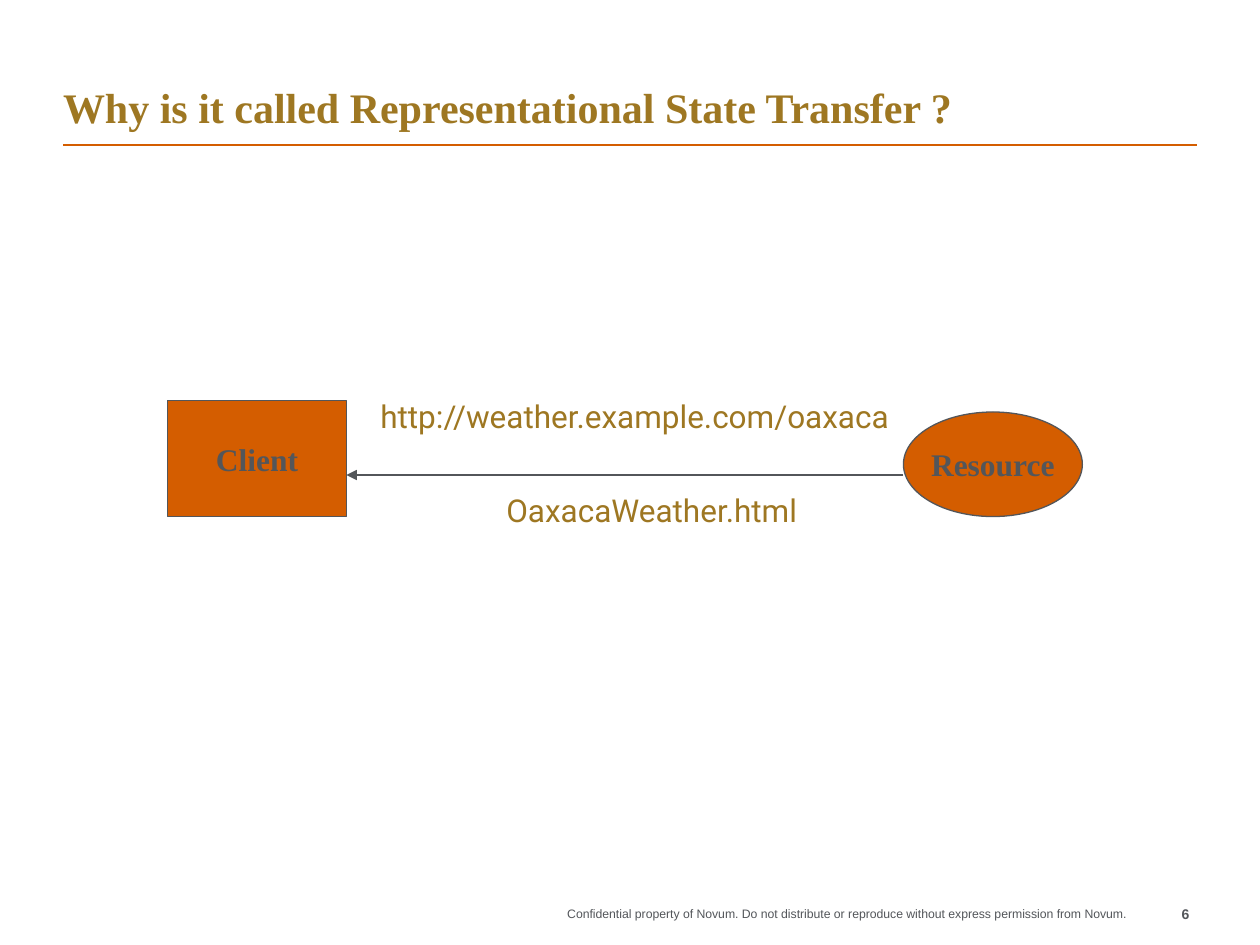
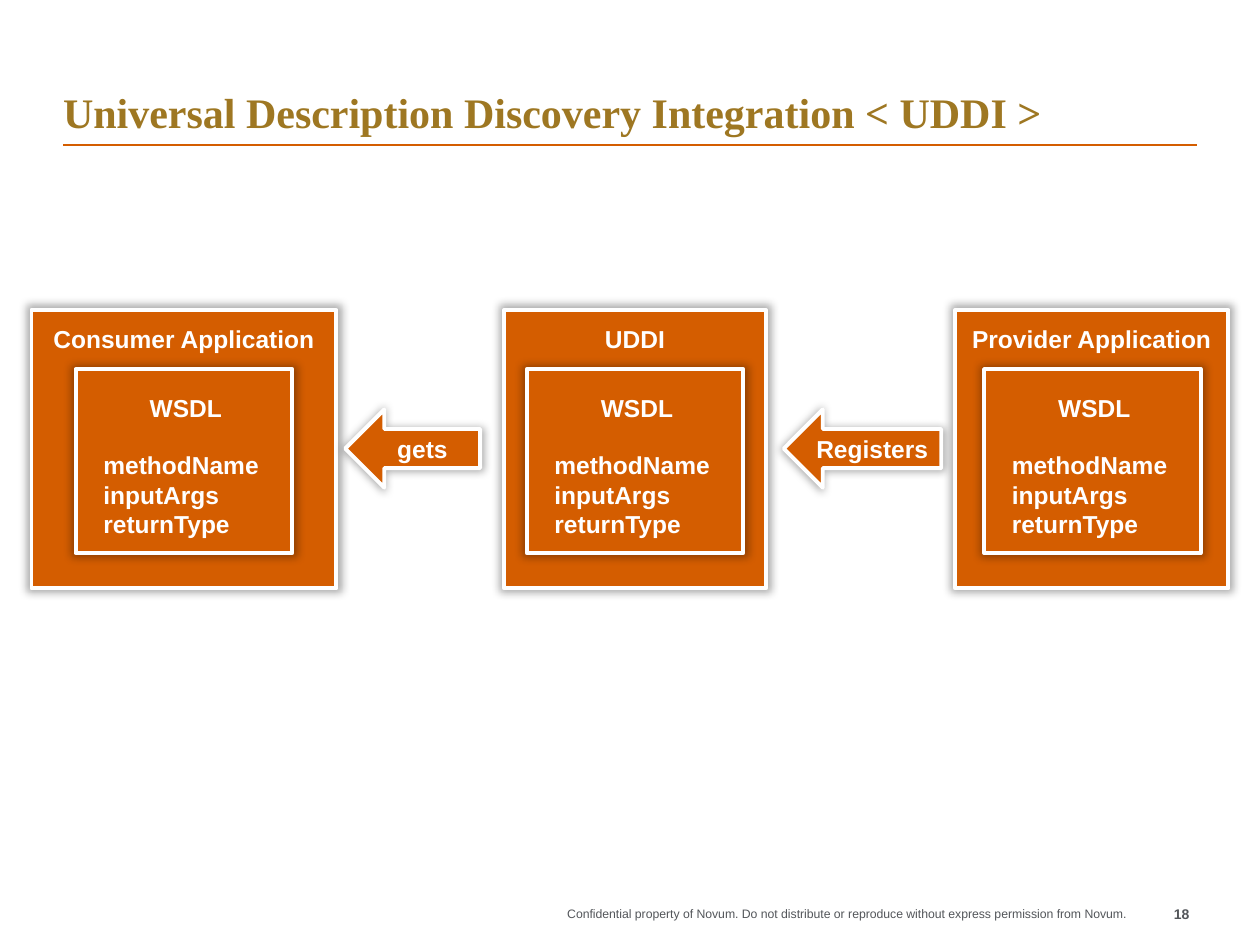
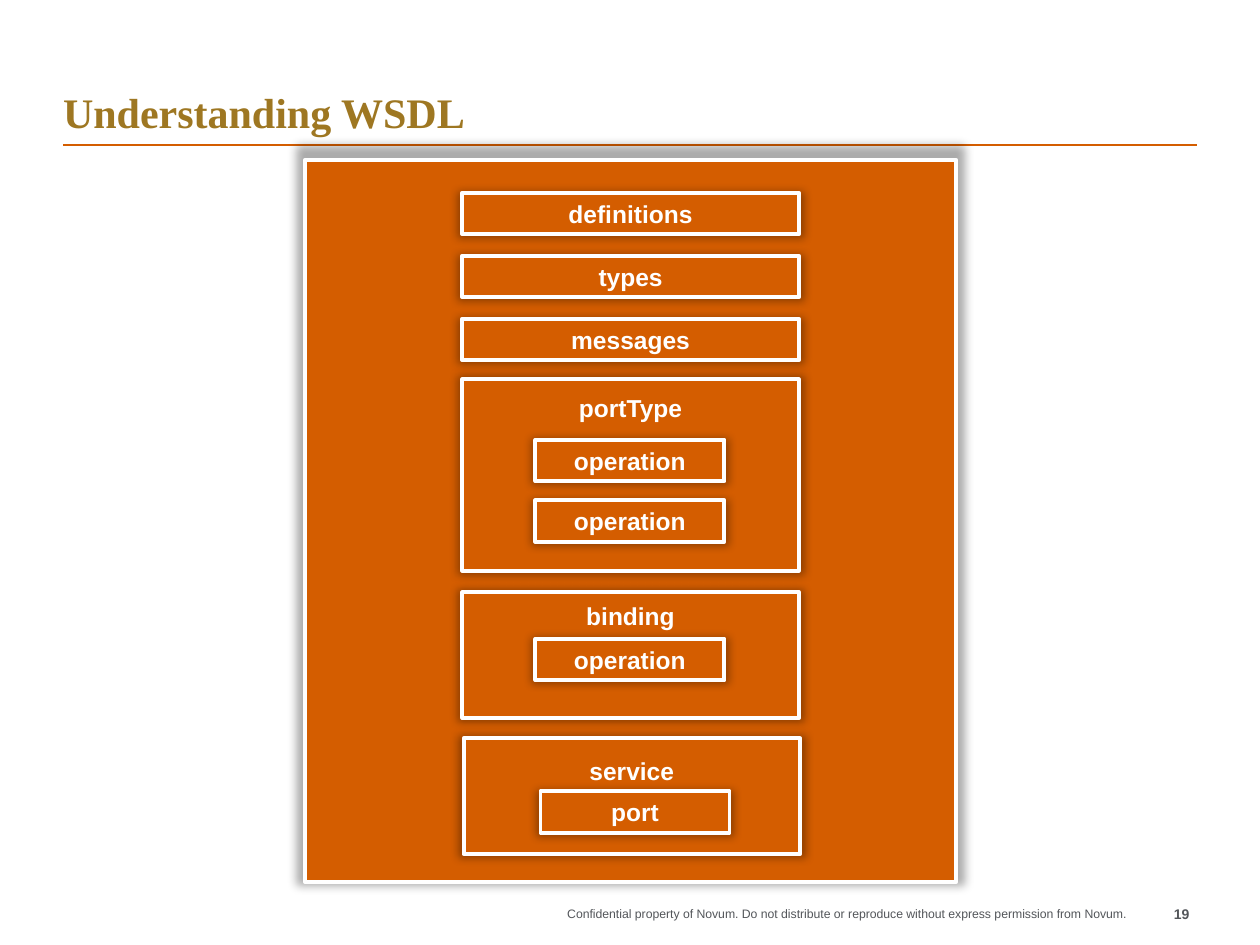
from dataclasses import dataclass

from lxml.etree import SubElement
from pptx import Presentation
from pptx.dml.color import RGBColor
from pptx.enum.shapes import MSO_CONNECTOR as Connector, MSO_SHAPE as Preset
from pptx.enum.text import MSO_ANCHOR as Anchor, MSO_AUTO_SIZE as AutoSize, PP_ALIGN as Align
from pptx.oxml.ns import qn
from pptx.shapes.autoshape import Shape
from pptx.shapes.connector import Connector as Line
from pptx.slide import Slide
from pptx.text.text import TextFrame
from pptx.util import Inches, Pt


@dataclass(frozen=True)
class Theme:
    orange: str = "D45D00"
    gold: str = "9E7722"
    gray: str = "53565A"
    white: str = "FFFFFF"
    sans: str = "Arial"
    serif: str = "Times New Roman"
    web: str = "Roboto"
    title_size: float = 24
    node_size: float = 18
    block_size: float = 14
    number_size: float = 8
    footer_size: float = 7


@dataclass(frozen=True)
class Box:
    left: float
    top: float
    width: float
    height: float

    def inches(self) -> tuple[int, ...]:
        return tuple(Inches(v) for v in (self.left, self.top, self.width, self.height))


@dataclass(frozen=True)
class Block:
    """A white-edged orange block; label_top sets the label's distance from the top."""
    label: str
    box: Box
    label_top: float | None = None
    preset: Preset = Preset.RECTANGLE


@dataclass(frozen=True)
class Node:
    label: str
    box: Box
    preset: Preset


@dataclass(frozen=True)
class Caption:
    text: str
    box: Box


THEME = Theme()
DEFAULT_INSETS = (0.1, 0.05, 0.1, 0.05)
NO_INSETS = (0, 0, 0, 0)
FOOTER = ("Confidential property of Novum. Do not distribute or reproduce "
          "without express permission from Novum.")


# Text and line helpers
def write_text(frame: TextFrame, text: str, *, size: float, color: str,
               font: str = THEME.sans, bold: bool = False, align: Align = Align.LEFT,
               anchor: Anchor = Anchor.TOP, insets: tuple = NO_INSETS,
               wrap: bool = True, append: bool = False, gap: float = 0) -> None:
    """Write each line of text as a paragraph; gap is the space before the first."""
    frame.auto_size = AutoSize.NONE
    frame.word_wrap = wrap
    frame.vertical_anchor = anchor
    (frame.margin_left, frame.margin_top,
     frame.margin_right, frame.margin_bottom) = map(Inches, insets)
    for index, line in enumerate(text.split("\n")):
        paragraph = frame.add_paragraph() if append or index else frame.paragraphs[0]
        paragraph.alignment = align
        paragraph.space_before = Pt(0 if index else gap)
        run = paragraph.add_run()
        run.text = line
        run.font.name, run.font.size, run.font.bold = font, Pt(size), bold
        run.font.color.rgb = RGBColor.from_string(color)


def add_line(slide: Slide, start: tuple, end: tuple, color: str, width: float,
             arrow: bool = False) -> Line:
    line = slide.shapes.add_connector(Connector.STRAIGHT, *map(Inches, start + end))
    line.line.color.rgb = RGBColor.from_string(color)
    line.line.width = Pt(width)
    properties = line._element.spPr
    if arrow:
        SubElement(properties.find(qn("a:ln")), qn("a:tailEnd"), type="triangle")
    SubElement(properties, qn("a:effectLst"))
    return line


def add_filled(slide: Slide, preset: Preset, box: Box, edge: str, width: float) -> Shape:
    shape = slide.shapes.add_shape(preset, *box.inches())
    shape.shadow.inherit = False
    shape.fill.solid()
    shape.fill.fore_color.rgb = RGBColor.from_string(THEME.orange)
    shape.line.color.rgb = RGBColor.from_string(edge)
    shape.line.width = Pt(width)
    return shape


# Repeated elements
def add_block(slide: Slide, block: Block) -> Shape:
    shape = add_filled(slide, block.preset, block.box, THEME.white, 2.25)
    effects = shape._element.spPr.find(qn("a:effectLst"))
    shadow = SubElement(effects, qn("a:outerShdw"), blurRad=str(Pt(5)), dist=str(Pt(1)),
                        dir="5400000", sx="102000", sy="102000", algn="b", rotWithShape="0")
    black = SubElement(shadow, qn("a:srgbClr"), val="000000")
    SubElement(black, qn("a:alpha"), val="32000")
    if block.label:
        at_top = block.label_top is not None
        write_text(shape.text_frame, block.label, size=THEME.block_size, color=THEME.white,
                   bold=True, align=Align.CENTER,
                   anchor=Anchor.TOP if at_top else Anchor.MIDDLE,
                   insets=(0, block.label_top or 0, 0, 0))
    return shape


def add_wsdl(slide: Slide, left: float) -> None:
    frame = add_block(slide, Block("", Box(left, 2.93, 1.72, 1.46))).text_frame
    style = dict(size=THEME.block_size, color=THEME.white, bold=True,
                 insets=(0.22, 0.19, 0.19, 0))
    write_text(frame, "WSDL", align=Align.CENTER, **style)
    write_text(frame, "methodName\ninputArgs\nreturnType", append=True, gap=16, **style)


def add_node(slide: Slide, node: Node) -> None:
    shape = add_filled(slide, node.preset, node.box, THEME.gray, 0.75)
    write_text(shape.text_frame, node.label, size=THEME.node_size, color=THEME.gray,
               font=THEME.serif, bold=True, align=Align.CENTER, anchor=Anchor.MIDDLE,
               insets=DEFAULT_INSETS, wrap=False)


def add_caption(slide: Slide, caption: Caption) -> None:
    frame = slide.shapes.add_textbox(*caption.box.inches()).text_frame
    write_text(frame, caption.text, size=THEME.node_size, color=THEME.gold,
               font=THEME.web, insets=DEFAULT_INSETS, wrap=False)
    frame.auto_size = AutoSize.SHAPE_TO_FIT_TEXT


def start_slide(deck: Presentation, title: str, number: int, title_top: float = 0.25) -> Slide:
    """Add a slide with its title, rule, footer and page number."""
    slide = deck.slides.add_slide(deck.slide_layouts.get_by_name("Title Only"))
    heading = slide.shapes.title
    heading.left, heading.top, heading.width, heading.height = Box(0.5, title_top, 9, 0.84).inches()
    write_text(heading.text_frame, title, size=THEME.title_size, color=THEME.gold,
               font=THEME.serif, bold=True, anchor=Anchor.BOTTOM)
    add_line(slide, (0.5, 1.15), (9.5, 1.15), THEME.orange, 1)
    for text, box, size, bold in (
            (FOOTER, Box(3.33, 7.19, 5.61, 0.23), THEME.footer_size, False),
            (str(number), Box(8.94, 7.19, 0.5, 0.23), THEME.number_size, True)):
        write_text(slide.shapes.add_textbox(*box.inches()).text_frame, text,
                   size=size, color=THEME.gray, bold=bold, align=Align.RIGHT)
    return slide


# Slides
def build_transfer(deck: Presentation) -> None:
    slide = start_slide(deck, "Why is it called Representational State Transfer ?", 6, 0.21)
    client = Node("Client", Box(1.33, 3.18, 1.42, 0.92), Preset.RECTANGLE)
    resource = Node("Resource", Box(7.17, 3.27, 1.42, 0.83), Preset.OVAL)
    for node in (client, resource):
        add_node(slide, node)
    add_line(slide, (resource.box.left, 3.77), (client.box.left + client.box.width, 3.77),
             THEME.gray, 0.75, arrow=True)
    for caption in (
            Caption("http://weather.example.com/oaxaca", Box(2.92, 3.1, 4.3, 0.4)),
            Caption("OaxacaWeather.html", Box(3.92, 3.85, 2.51, 0.4))):
        add_caption(slide, caption)


def build_uddi(deck: Presentation) -> None:
    slide = start_slide(deck, "Universal Description Discovery Integration < UDDI >", 18)
    # Applications, each holding a WSDL block
    for label, left, width, wsdl_left in (
            ("Consumer Application", 0.25, 2.42, 0.6),
            ("UDDI", 4, 2.08, 4.18),
            ("Provider Application", 7.58, 2.17, 7.81)):
        add_block(slide, Block(label, Box(left, 2.46, width, 2.21), 0.11))
        add_wsdl(slide, wsdl_left)
    # Steps between them
    for label, left, width in (("gets", 2.74, 1.07), ("Registers", 6.22, 1.25)):
        add_block(slide, Block(label, Box(left, 3.25, width, 0.62), preset=Preset.LEFT_ARROW))


def build_wsdl(deck: Presentation) -> None:
    slide = start_slide(deck, "Understanding WSDL", 19)
    add_block(slide, Block("", Box(2.42, 1.27, 5.17, 5.73)))
    # Simple sections at an equal pitch
    for row, label in enumerate(("definitions", "types", "messages")):
        add_block(slide, Block(label, Box(3.67, 1.53 + 0.5 * row, 2.67, 0.33)))
    # Sections that hold other elements
    for section in (
            Block("portType", Box(3.67, 3.01, 2.67, 1.52), 0.11),
            Block("binding", Box(3.67, 4.7, 2.67, 1), 0.07),
            Block("service", Box(3.68, 5.86, 2.67, 0.92), 0.14)):
        add_block(slide, section)
    for label, left, top in (
            ("operation", 4.25, 3.49), ("operation", 4.25, 3.97),
            ("operation", 4.25, 5.07), ("port", 4.29, 6.28)):
        add_block(slide, Block(label, Box(left, top, 1.5, 0.33)))


def main() -> None:
    deck = Presentation()
    deck.slide_width, deck.slide_height = Inches(10), Inches(7.5)
    build_transfer(deck)
    build_uddi(deck)
    build_wsdl(deck)
    deck.save("out.pptx")


if __name__ == "__main__":
    main()
